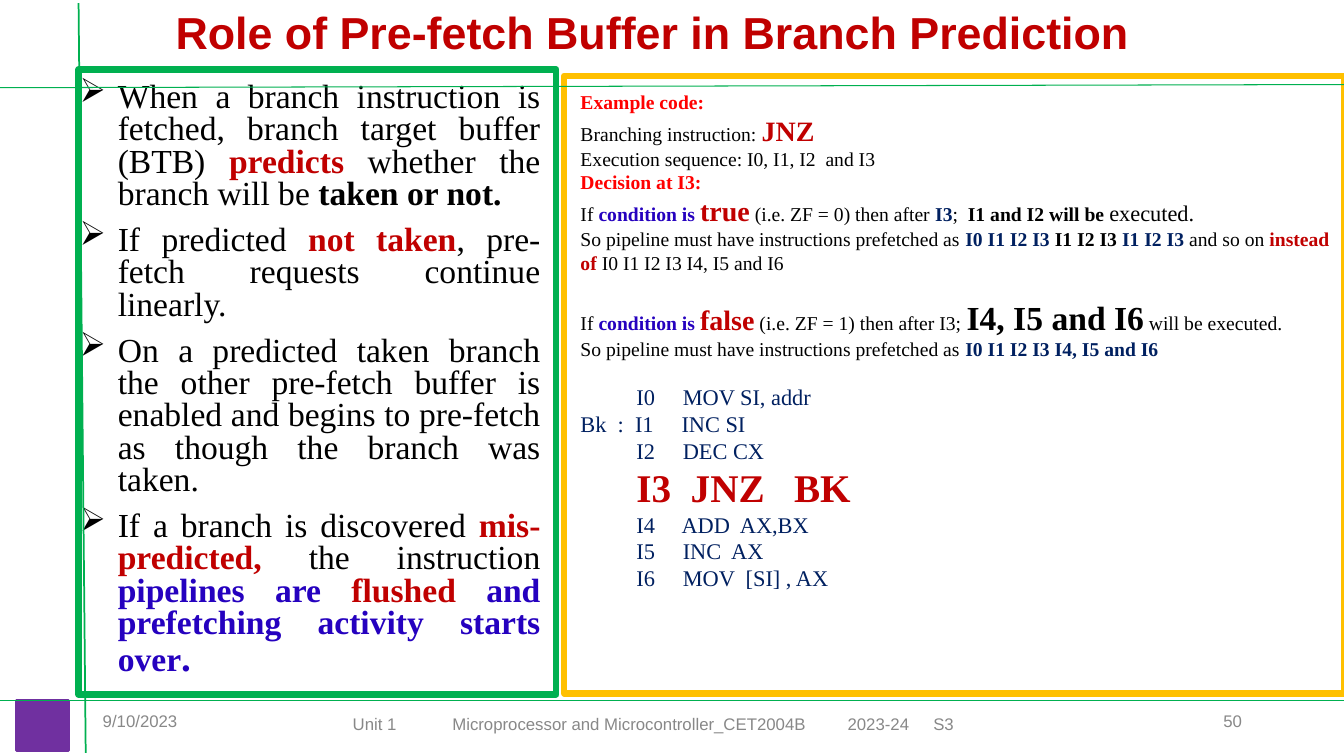
from lxml import etree
from pptx import Presentation
from pptx.dml.color import RGBColor
from pptx.enum.shapes import MSO_CONNECTOR, MSO_SHAPE
from pptx.enum.text import MSO_ANCHOR, MSO_AUTO_SIZE, PP_ALIGN
from pptx.oxml.ns import qn
from pptx.util import Cm, Pt

LEFT, RIGHT, JUSTIFY = PP_ALIGN.LEFT, PP_ALIGN.RIGHT, PP_ALIGN.JUSTIFY
TOP, MIDDLE = MSO_ANCHOR.TOP, MSO_ANCHOR.MIDDLE
RECTANGLE, STRAIGHT = MSO_SHAPE.RECTANGLE, MSO_CONNECTOR.STRAIGHT

BLACK = RGBColor(0x00, 0x00, 0x00)
GREY = RGBColor(0x88, 0x88, 0x88)
CRIMSON = RGBColor(0xC0, 0x00, 0x00)
RED = RGBColor(0xFF, 0x00, 0x00)
BLUE = RGBColor(0x25, 0x01, 0xBF)
NAVY = RGBColor(0x00, 0x20, 0x60)
GREEN = RGBColor(0x00, 0xB0, 0x50)
GOLD = RGBColor(0xFF, 0xC0, 0x00)
PURPLE = RGBColor(0x70, 0x30, 0xA0)

SANS, SERIF = "Arial", "Times New Roman"
WIDTH, HEIGHT = 33.87, 19.05
FOOTER_TOP = 17.65

TITLE = "Role of Pre-fetch Buffer in Branch Prediction"

# A span is plain text or (text, colour, bold, size); later parts are optional.
BULLETS = [
    ["When a branch instruction is fetched, branch target buffer (BTB) ",
     ("predicts", CRIMSON, True), " whether the branch will be ",
     ("taken or not.", BLACK, True)],
    ["If predicted ", ("not taken", CRIMSON, True),
     ", pre-fetch requests continue linearly."],
    ["On a predicted taken branch the other pre-fetch buffer is enabled "
     "and begins to pre-fetch as though the branch was taken."],
    ["If a branch is discovered ", ("mis-predicted, ", CRIMSON, True),
     "the instruction ", ("pipelines are ", BLUE, True),
     ("flushed", CRIMSON, True),
     (" and prefetching activity starts over", BLUE, True),
     (".", BLUE, True, 28)],
]

PREFETCHED = "So pipeline must have instructions prefetched as "
SETUP = [
    [("Example code:", RED, True)],
    ["Branching instruction: ", ("JNZ", CRIMSON, True, 20)],
    ["Execution sequence: I0, I1, I2  and I3"],
    [("Decision at I3:", RED, True)],
    ["If ", ("condition is ", BLUE, True), ("true", CRIMSON, True, 20),
     " (i.e. ZF = 0) then after ", ("I3", NAVY, True), ";  ",
     ("I1 and I2 will be ", BLACK, True), ("executed.", BLACK, False, 16)],
    [PREFETCHED, ("I0 I1 I2 I3 ", NAVY, True), ("I1 I2 I3 ", BLACK, True),
     ("I1 I2 I3 ", NAVY, True), "and so on ", ("instead of", CRIMSON, True),
     " I0 I1 I2 I3 I4, I5 and I6"],
]
FALSE_CASE = [
    ["If ", ("condition is ", BLUE, True), ("false", CRIMSON, True, 20),
     " (i.e. ZF = 1) then after I3; ", ("I4, I5 and I6", BLACK, True, 24),
     " will be executed."],
    [PREFETCHED, ("I0 I1 I2 I3 I4, I5 and I6", NAVY, True)],
]
LISTING = [
    ["          I0     MOV SI, addr"],
    ["Bk  :  I1     INC SI"],
    ["          I2     DEC CX"],
    ["          ", ("I3  JNZ   BK", CRIMSON, True, 28)],
    ["          I4     ADD  AX,BX"],
    ["          I5     INC  AX"],
    ["          I6     MOV  [SI] , AX"],
]
# Text size, colour and lines of each block in the example
EXAMPLE = [(14, BLACK, SETUP), (14, BLACK, FALSE_CASE), (16, NAVY, LISTING)]
BLOCK_GAP = Pt(16)

COURSE = ["Unit 1", "Microprocessor and Microcontroller_CET2004B", "2023-24", "S3"]
COURSE_TABS = [2.51, 12.47, 14.63]
# Text, alignment, left, top, width
FOOTERS = [
    ("9/10/2023", LEFT, 2.34, FOOTER_TOP, 7.62),
    ("\t".join(COURSE), LEFT, 8.64, 17.73, 16.9),
    ("50", RIGHT, 23.93, FOOTER_TOP, 7.62),
]

# Place, fill, line colour, line width
PANELS = [
    ((14.22, 1.91, 19.66, 15.57), None, GOLD, 4.5),
    ((1.98, 1.75, 12.04, 15.75), None, GREEN, 4.5),
    ((0.41, FOOTER_TOP, 1.32, 1.27), PURPLE, PURPLE, 2),
]
# Start, end, line width
RULES = [
    ((0, 2.21), (WIDTH, 2.13), 0.75),
    ((1.98, 0.08), (2.16, 18.97), 1.25),
    ((0, FOOTER_TOP), (WIDTH, FOOTER_TOP), 1.25),
]


def add_box(page, place, anchor=TOP):
    frame = page.shapes.add_textbox(*map(Cm, place)).text_frame
    frame.word_wrap = True
    frame.vertical_anchor = anchor
    return frame


def next_paragraph(frame):
    """Return the first paragraph while it is empty, then new ones."""
    first = frame.paragraphs[0]
    return frame.add_paragraph() if first.runs else first


def set_font(font, name, size, color, bold=False):
    font.name, font.size, font.bold = name, Pt(size), bold
    font.color.rgb = color


def write_spans(para, spans, size, color):
    set_font(para.font, SERIF, size, color)
    for item in spans:
        text, *style = (item,) if isinstance(item, str) else item
        span = para.add_run()
        span.text = text
        if style:
            span.font.color.rgb, span.font.bold = style[:2]
        if len(style) > 2:
            span.font.size = Pt(style[2])


def add_bullet(para):
    properties = para._p.get_or_add_pPr()
    properties.set("marL", str(Cm(1.27)))
    properties.set("indent", str(Cm(-0.96)))
    etree.SubElement(properties, qn("a:buChar")).set("char", "➢")


def add_tabs(para, stops):
    tabs = etree.SubElement(para._p.get_or_add_pPr(), qn("a:tabLst"))
    for stop in stops:
        tab = etree.SubElement(tabs, qn("a:tab"))
        tab.set("pos", str(Cm(stop)))
        tab.set("algn", "l")


def add_title(page):
    title = page.shapes.title
    title.left, title.top, title.width, title.height = map(Cm, (4.17, 0, 25.1, 1.63))
    frame = title.text_frame
    frame.text = TITLE
    frame.auto_size = MSO_AUTO_SIZE.NONE
    frame.vertical_anchor = TOP
    para = frame.paragraphs[0]
    para.alignment = LEFT
    set_font(para.font, SANS, 32, CRIMSON, True)


def add_footers(page):
    for text, alignment, left, top, width in FOOTERS:
        para = add_box(page, (left, top, width, 1.02), MIDDLE).paragraphs[0]
        para.alignment = alignment
        if "\t" in text:
            add_tabs(para, COURSE_TABS)
        set_font(para.font, SANS, 12, GREY)
        para.add_run().text = text


def add_bullets(page):
    frame = add_box(page, (1.45, 1.96, 12.42, 15.95))
    for index, spans in enumerate(BULLETS):
        para = next_paragraph(frame)
        add_bullet(para)
        para.alignment = JUSTIFY
        para.line_spacing = 0.8
        if index:
            para.space_before = Pt(10)
        write_spans(para, spans, 24, BLACK)


def add_example(page):
    frame = add_box(page, (14.38, 2.13, 19.51, 15.21))
    for block, (size, color, lines) in enumerate(EXAMPLE):
        for index, spans in enumerate(lines):
            para = next_paragraph(frame)
            if block and not index:
                para.space_before = BLOCK_GAP
            write_spans(para, spans, size, color)


def add_panels_and_rules(page):
    for place, fill, color, width in PANELS:
        panel = page.shapes.add_shape(RECTANGLE, *map(Cm, place))
        panel.shadow.inherit = False
        if fill is None:
            panel.fill.background()
        else:
            panel.fill.solid()
            panel.fill.fore_color.rgb = fill
        panel.line.color.rgb, panel.line.width = color, Pt(width)
    for start, end, width in RULES:
        rule = page.shapes.add_connector(STRAIGHT, *map(Cm, start + end))
        rule.line.color.rgb, rule.line.width = GREEN, Pt(width)
        etree.SubElement(rule._element.spPr, qn("a:effectLst"))


def main():
    deck = Presentation()
    deck.slide_width, deck.slide_height = Cm(WIDTH), Cm(HEIGHT)
    page = deck.slides.add_slide(deck.slide_layouts[5])
    for add_part in (add_title, add_footers, add_bullets, add_example,
                     add_panels_and_rules):
        add_part(page)
    deck.save("out.pptx")


if __name__ == "__main__":
    main()
